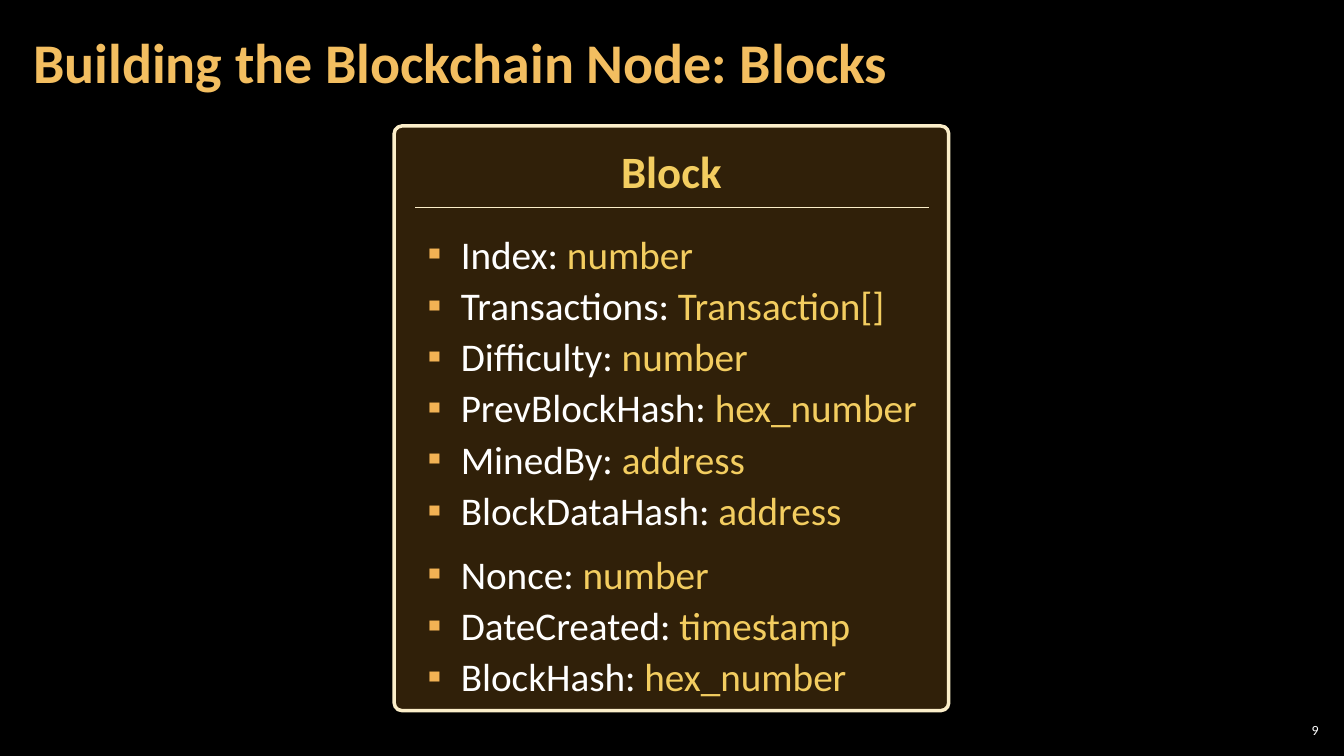
from lxml import etree
from pptx import Presentation
from pptx.dml.color import RGBColor
from pptx.enum.shapes import MSO_CONNECTOR, MSO_SHAPE
from pptx.enum.text import MSO_ANCHOR, MSO_AUTO_SIZE, PP_ALIGN
from pptx.oxml.ns import qn
from pptx.util import Pt

PX = 9144
FONT = "Calibri"
BLACK = RGBColor(0x00, 0x00, 0x00)
WHITE = RGBColor(0xFF, 0xFF, 0xFF)
GOLD = RGBColor(0xF3, 0xBE, 0x60)
YELLOW = RGBColor(0xF3, 0xCD, 0x60)
AMBER = RGBColor(0xF0, 0xA2, 0x2E)
CREAM = RGBColor(0xFB, 0xEE, 0xC9)
BULLET = RGBColor(0xF2, 0xB2, 0x54)

LEFT, CENTER, RIGHT = PP_ALIGN.LEFT, PP_ALIGN.CENTER, PP_ALIGN.RIGHT
TOP, MIDDLE = MSO_ANCHOR.TOP, MSO_ANCHOR.MIDDLE
ROUND = MSO_SHAPE.ROUNDED_RECTANGLE
STRAIGHT = MSO_CONNECTOR.STRAIGHT
NO_FIT = MSO_AUTO_SIZE.NONE

FIELDS = [
    ("Index", "number"),
    ("Transactions", "Transaction[]"),
    ("Difficulty", "number"),
    ("PrevBlockHash", "hex_number"),
    ("MinedBy", "address"),
    ("BlockDataHash", "address"),
    ("Nonce", "number"),
    ("DateCreated", "timestamp"),
    ("BlockHash", "hex_number"),
]
MINED = "Nonce"


def px(*sizes):
    return [size * PX for size in sizes]


def place(shape, box):
    shape.left, shape.top, shape.width, shape.height = px(*box)


def set_frame(frame, anchor=TOP, pad=(10, 5)):
    frame.word_wrap = True
    frame.auto_size = NO_FIT
    frame.vertical_anchor = anchor
    side, edge = px(*pad)
    frame.margin_left = frame.margin_right = side
    frame.margin_top = frame.margin_bottom = edge


def add_text(para, text, size=28, color=WHITE, bold=False, align=LEFT, space=1.0):
    para.alignment = align
    para.line_spacing = space
    run = para.add_run()
    run.text = text
    font = run.font
    font.name, font.size, font.bold = FONT, Pt(size), bold
    font.color.rgb = color


def add_bullet(para):
    props = para._p.get_or_add_pPr()
    indent = 33 * PX
    props.set("marL", str(indent))
    props.set("indent", str(-indent))
    tint = etree.SubElement(props, qn("a:buClr"))
    etree.SubElement(tint, qn("a:srgbClr"), val=str(BULLET))
    etree.SubElement(props, qn("a:buFont"), typeface=FONT)
    etree.SubElement(props, qn("a:buChar"), char="▪")


def add_panel(slide, text, box):
    panel = slide.shapes.add_shape(ROUND, *px(*box))
    panel.adjustments[0] = 0.014
    panel.shadow.inherit = False
    panel.fill.solid()
    panel.fill.fore_color.rgb = AMBER
    shade = panel._element.spPr.find(qn("a:solidFill")).find(qn("a:srgbClr"))
    etree.SubElement(shade, qn("a:alpha"), val="20000")
    panel.line.color.rgb = CREAM
    panel.line.width = Pt(2.5)
    set_frame(panel.text_frame)
    add_text(panel.text_frame.paragraphs[0], text, size=32, color=YELLOW,
             bold=True, align=CENTER, space=1.2)


def add_rule(slide, ends):
    rule = slide.shapes.add_connector(STRAIGHT, *px(*ends))
    rule.line.color.rgb = CREAM
    rule.line.width = Pt(1)
    etree.SubElement(rule._element.spPr, qn("a:effectLst"))


def fill_list(slide, body, box):
    place(body, box)
    slide.shapes._spTree.append(body._element)
    frame = body.text_frame
    set_frame(frame)
    for i, (name, kind) in enumerate(FIELDS):
        para = frame.add_paragraph() if i else frame.paragraphs[0]
        gap = 12 if name == MINED else 3
        para.space_before = Pt(gap if i else 0)
        add_bullet(para)
        add_text(para, f"{name}: ")
        add_text(para, kind, color=YELLOW)


def add_title(slide, text, box):
    title = slide.shapes.title
    place(title, box)
    set_frame(title.text_frame, anchor=MIDDLE, pad=(12, 4))
    add_text(title.text_frame.paragraphs[0], text, size=40, color=GOLD,
             bold=True, space=0.9)


def add_number(slide, text, box):
    label = slide.shapes.add_textbox(*px(*box))
    set_frame(label.text_frame, anchor=MIDDLE, pad=(4, 4))
    add_text(label.text_frame.paragraphs[0], text, size=10, align=RIGHT)


def main():
    deck = Presentation()
    deck.slide_width, deck.slide_height = px(1333, 750)
    slide = deck.slides.add_slide(deck.slide_layouts[1])
    slide.background.fill.solid()
    slide.background.fill.fore_color.rgb = BLACK
    add_number(slide, "9", (1265, 714, 47, 21))
    add_title(slide, "Building the Blockchain Node: Blocks", (21, 4, 1047, 121))
    add_panel(slide, "Block", (391, 125, 550, 580))
    add_rule(slide, (412, 206, 921, 206))
    fill_list(slide, slide.placeholders[1], (414, 223, 522, 476))
    deck.save("out.pptx")


if __name__ == "__main__":
    main()
